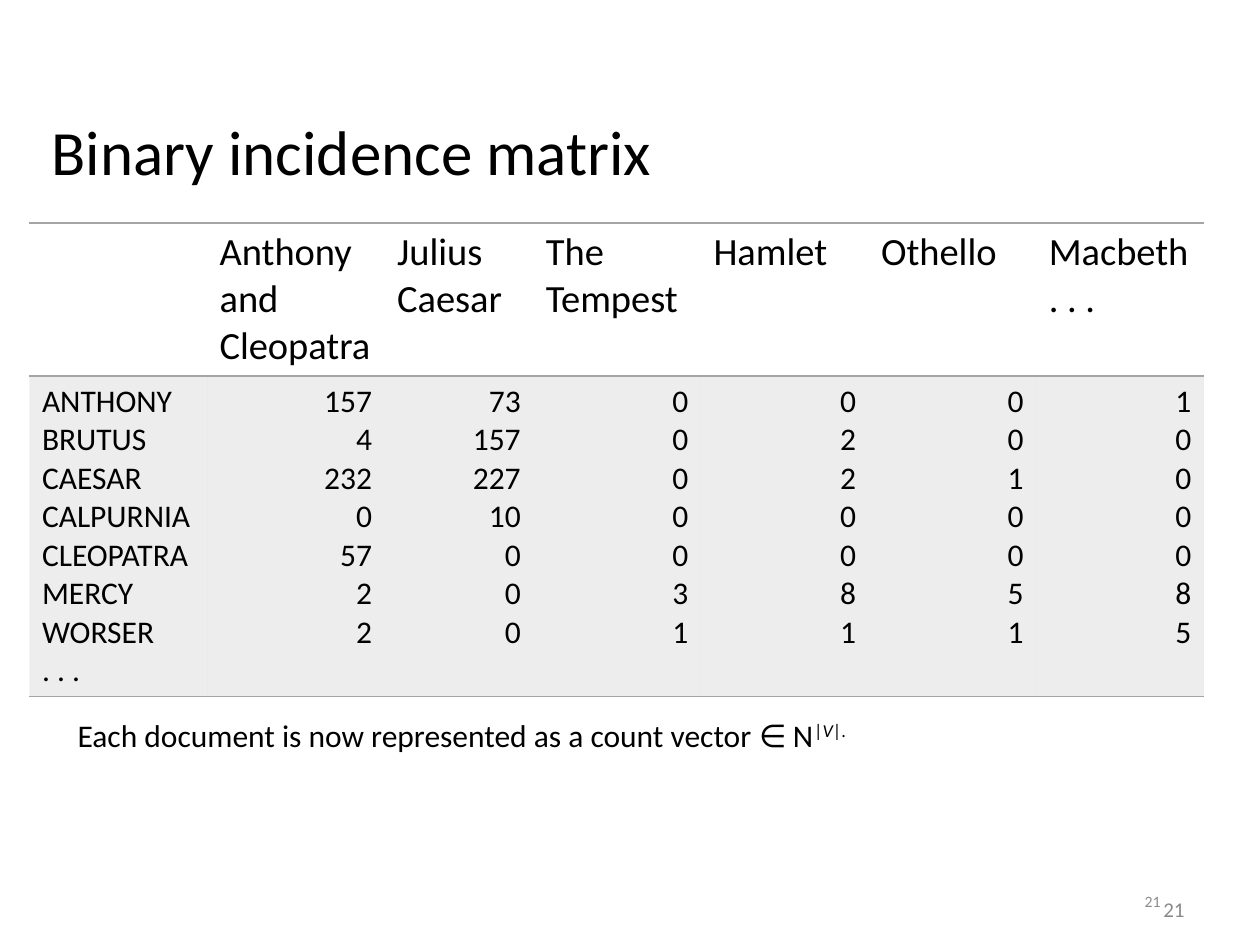
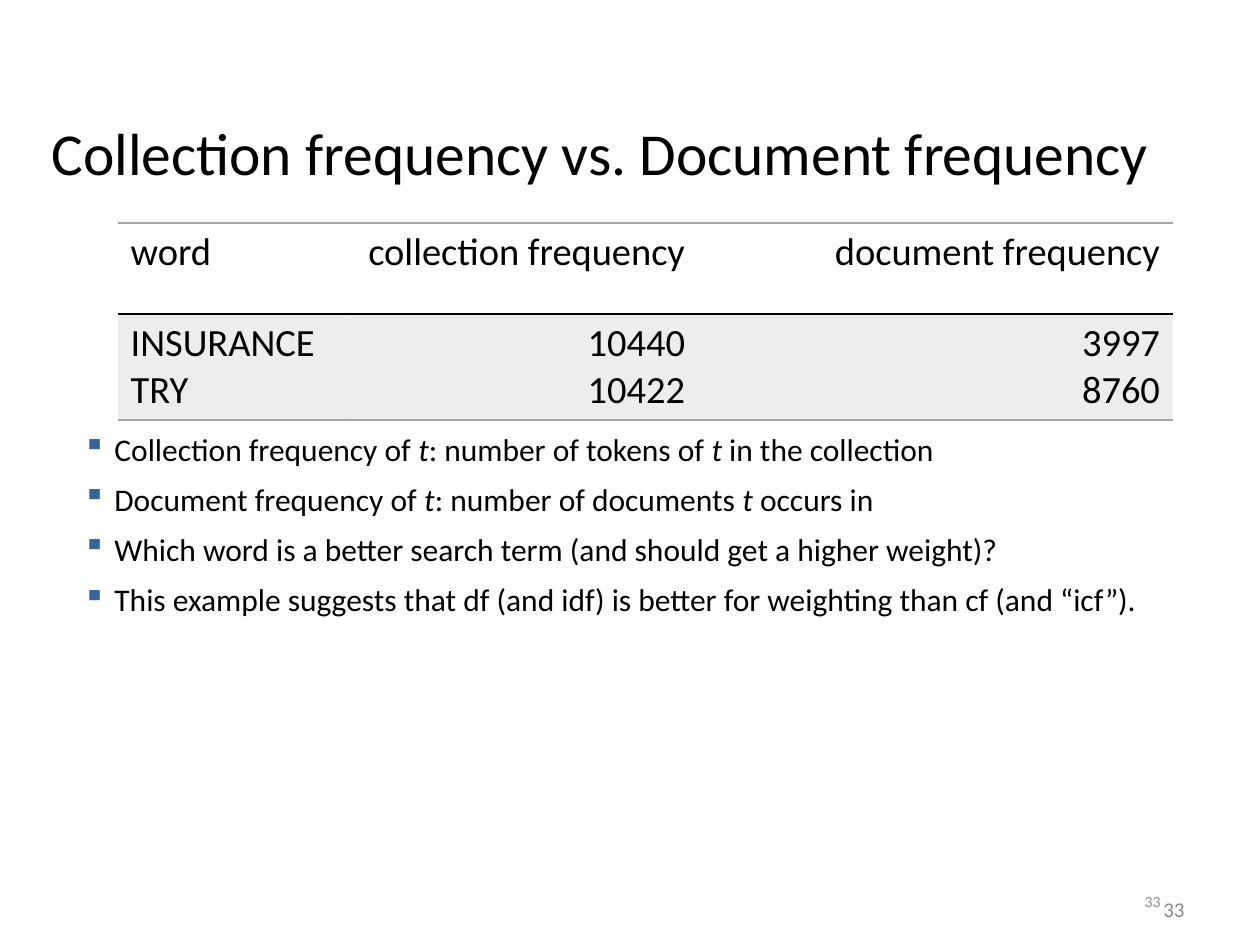
import pptx
import pptx.dml.color
import pptx.enum.text
import pptx.oxml
import pptx.oxml.ns
import pptx.util

Pt = pptx.util.Pt
ALIGN = pptx.enum.text.PP_ALIGN
ANCHOR = pptx.enum.text.MSO_ANCHOR
FONT = "Calibri"
COLORS = {"text": "000000", "rule": "A5A5A5", "number": "898989",
          "small_number": "8C8C8C", "bullet": "336699"}
TITLE_BOX = (22.3, 0.7, 675.4, 110.2)
NUMBER_BOX = (516.2, 509.8, 167.8, 19.4)
SMALL_NUMBER_BOX = (508.3, 500.4, 162, 28.8)
TABLE_TOP = 127.5
ITALIC = {"italic": True}

COUNTS = {
    "Anthony and Cleopatra": [157, 4, 232, 0, 57, 2, 2],
    "Julius Caesar": [73, 157, 227, 10, 0, 0, 0],
    "The Tempest": [0, 0, 0, 0, 0, 3, 1],
    "Hamlet": [0, 2, 2, 0, 0, 8, 1],
    "Othello": [0, 0, 1, 0, 0, 5, 1],
    "Macbeth . . .": [1, 0, 0, 0, 0, 8, 5],
}
TERMS = ["ANTHONY", "BRUTUS", "CAESAR", "CALPURNIA", "CLEOPATRA", "MERCY",
         "WORSER", ". . ."]
BULLETS = [
    ["Collection frequency of ", ("t", ITALIC), ": number of tokens of ",
     ("t", ITALIC), " in the collection"],
    ["Document frequency of ", ("t", ITALIC), ": number of documents ",
     ("t", ITALIC), " occurs in"],
    ["Which word is a better search term (and should get a higher weight)?"],
    ["This example suggests that df (and idf) is better for weighting than cf (and “icf”)."],
]


def rgb(name):
    """Return the named colour."""
    return pptx.dml.color.RGBColor.from_string(COLORS[name])


def xml(tag, attrs="", inner=""):
    """Return a DrawingML element."""
    ns = pptx.oxml.ns.nsdecls("a")
    return pptx.oxml.parse_xml(f"<a:{tag} {ns} {attrs}>{inner}</a:{tag}>")


def solid(name):
    """Return the markup of a solid fill."""
    return f'<a:solidFill><a:srgbClr val="{COLORS[name]}"/></a:solidFill>'


def add_run(p, text, size, color="text", superscript=False, **fmt):
    """Append a formatted run to a paragraph."""
    r = p.add_run()
    r.text = text
    for name, value in {"name": FONT, "size": Pt(size), **fmt}.items():
        setattr(r.font, name, value)
    r.font.color.rgb = rgb(color)
    if superscript:
        r._r.get_or_add_rPr().set("baseline", "30000")


def write(tf, paragraphs, size, color="text", align=ALIGN.LEFT):
    """Fill a text frame with paragraphs made of runs."""
    for i, runs in enumerate(paragraphs):
        p = tf.add_paragraph() if i else tf.paragraphs[0]
        p.alignment = align
        for run in runs:
            text, fmt = (run, {}) if isinstance(run, str) else run
            add_run(p, text, size, color, **fmt)


def add_text(s, box, paragraphs, size, anchor=ANCHOR.TOP, **fmt):
    """Add a wrapping text box and return its text frame."""
    tf = s.shapes.add_textbox(*map(Pt, box)).text_frame
    tf.word_wrap = True
    tf.vertical_anchor = anchor
    write(tf, paragraphs, size, **fmt)
    return tf


def add_slide(prs, title, size, number):
    """Add a slide with its title and both page numbers."""
    s = prs.slides.add_slide(prs.slide_layouts[5])
    sp = s.shapes.title
    for name, value in zip(("left", "top", "width", "height"), TITLE_BOX):
        setattr(sp, name, Pt(value))
    tf = sp.text_frame
    tf.auto_size = pptx.enum.text.MSO_AUTO_SIZE.NONE
    tf.vertical_anchor = ANCHOR.BOTTOM
    write(tf, [[title]], size)
    for box, points, color in ((NUMBER_BOX, 12, "number"),
                               (SMALL_NUMBER_BOX, 9, "small_number")):
        add_text(s, box, [[number]], points, ANCHOR.MIDDLE,
                 color=color, align=ALIGN.RIGHT)
    return s


def style_cell(cell, top, bottom, shaded):
    """Give a cell its horizontal rules and its fill."""
    tcPr = cell._tc.get_or_add_tcPr()
    for side, color in (("L", None), ("R", None), ("T", top), ("B", bottom)):
        tcPr.append(xml(f"ln{side}", f'w="{Pt(1)}"',
                        solid(color) if color else "<a:noFill/>"))
    if shaded:
        cell.fill.solid()
        cell.fill.fore_color.rgb = rgb("rule")
        clr = tcPr.find(pptx.oxml.ns.qn("a:solidFill"))[0]
        clr.append(xml("alpha", 'val="20000"'))
    else:
        cell.fill.background()


def add_table(s, left, widths, heights, header, columns, body_size,
              header_align=ALIGN.LEFT, middle="rule"):
    """Add a header row above one row that lists each column's values."""
    table = s.shapes.add_table(2, len(widths), Pt(left), Pt(TABLE_TOP),
                               Pt(sum(widths)), Pt(sum(heights))).table
    table.first_row = table.horz_banding = False
    for row, height in zip(table.rows, heights):
        row.height = Pt(height)
    for i, (width, heading, values) in enumerate(zip(widths, header, columns)):
        table.columns[i].width = Pt(width)
        top, body = table.cell(0, i), table.cell(1, i)
        if heading:
            write(top.text_frame, [[heading]], 22,
                  align=header_align if i else ALIGN.LEFT)
        write(body.text_frame, [[str(v)] for v in values], body_size,
              align=ALIGN.RIGHT if i else ALIGN.LEFT)
        style_cell(top, "rule", middle, False)
        style_cell(body, middle, "rule", True)


def add_bullets(s, box, paragraphs, size):
    """Add a list with square bullets."""
    tf = add_text(s, box, paragraphs, size)
    for i, p in enumerate(tf.paragraphs):
        p.level = 1
        if i:
            p.space_before = Pt(7)
        pPr = p._p.get_or_add_pPr()
        pPr.set("marL", str(Pt(36)))
        pPr.set("indent", str(Pt(-18)))
        pPr.append(xml("buClr", inner=f'<a:srgbClr val="{COLORS["bullet"]}"/>'))
        pPr.append(xml("buChar", 'char="▪"'))


def main():
    """Build both slides and save them."""
    prs = pptx.Presentation()
    prs.slide_width, prs.slide_height = Pt(720), Pt(540)

    s = add_slide(prs, "Binary incidence matrix", 36, "21")
    add_table(s, 16.8, [101.5, 101.5, 85] + [95.8] * 4, [87.5, 183],
              ["", *COUNTS], [TERMS, *COUNTS.values()], 18)
    note = ["Each document is now represented as a count vector ∈ N",
            ("|", {"superscript": True}),
            ("V", {"superscript": True, **ITALIC}),
            ("|.", {"superscript": True})]
    tf = add_text(s, (16.8, 405.4, 675.4, 134.6), [note], 18)
    tf.margin_left = Pt(27.5)

    s = add_slide(prs, "Collection frequency vs. Document frequency", 34, "33")
    add_table(s, 67.5, [130.3, 200.9, 271.4], [51.8, 60.8],
              ["word", "collection frequency", "document frequency"],
              [["INSURANCE", "TRY"], [10440, 10422], [3997, 8760]], 22,
              ALIGN.RIGHT, "text")
    add_bullets(s, (22.3, 241.9, 652.3, 298), BULLETS, 18)

    prs.save("out.pptx")


if __name__ == "__main__":
    main()
